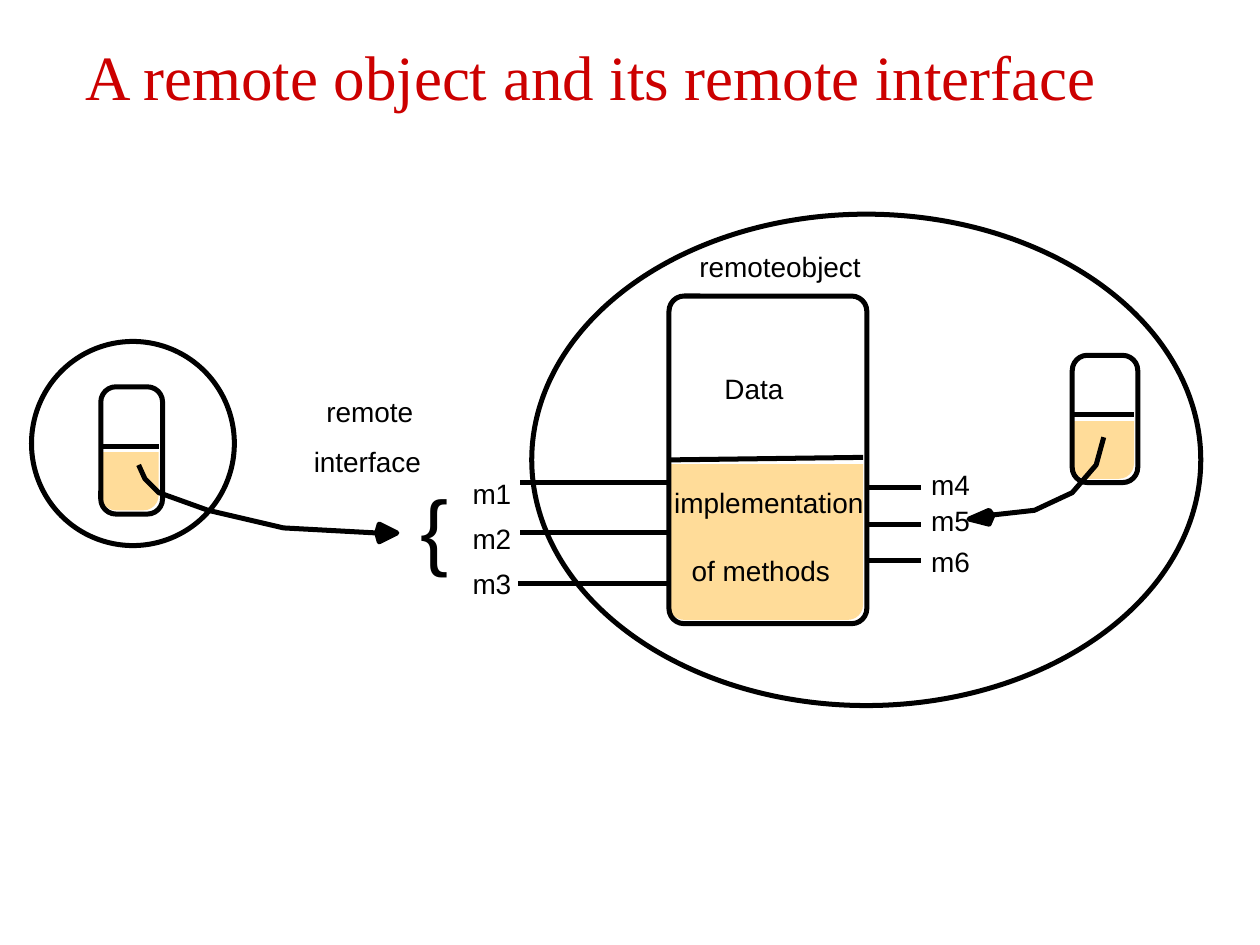
from dataclasses import dataclass

from pptx import Presentation
from pptx.dml.color import RGBColor
from pptx.enum.shapes import MSO_CONNECTOR, MSO_SHAPE
from pptx.enum.text import MSO_ANCHOR, MSO_AUTO_SIZE, PP_ALIGN
from pptx.oxml.ns import qn
from pptx.util import Inches, Pt


@dataclass(frozen=True)
class Theme:
    title_color: RGBColor = RGBColor(0xCC, 0x00, 0x00)
    ink: RGBColor = RGBColor(0x00, 0x00, 0x00)
    paper: RGBColor = RGBColor(0xFF, 0xFF, 0xFF)
    methods: RGBColor = RGBColor(0xFF, 0xDC, 0x99)
    title_font: str = "Times New Roman"
    label_font: str = "Arial"
    title_size: Pt = Pt(36)
    label_size: Pt = Pt(16)
    brace_size: Pt = Pt(48)
    line_width: Pt = Pt(2.86)
    corner_radius: float = 0.12


THEME = Theme()


def set_attributes(target, values):
    for name, value in values.items():
        setattr(target, name, value)


def style_shape(shape, fill=None, line=None):
    shape.shadow.inherit = False
    if fill is None:
        shape.fill.background()
    else:
        shape.fill.solid()
        shape.fill.fore_color.rgb = fill
    if line is None:
        shape.line.fill.background()
    else:
        shape.line.color.rgb = line
        shape.line.width = THEME.line_width


def add_outline(slide, kind, box, fill=None, line=None):
    shape = slide.shapes.add_shape(kind, *map(Inches, box))
    style_shape(shape, fill, line)
    if kind == MSO_SHAPE.ROUNDED_RECTANGLE:
        shape.adjustments[0] = THEME.corner_radius / min(box[2:])
    return shape


def add_line(slide, start, end):
    connector = slide.shapes.add_connector(
        MSO_CONNECTOR.STRAIGHT, *map(Inches, (*start, *end)))
    connector.line.color.rgb = THEME.ink
    connector.line.width = THEME.line_width
    properties = connector._element.spPr
    properties.append(properties.makeelement(qn("a:effectLst"), {}))
    return connector


def add_polyline(slide, points, closed=False):
    start, *others = [tuple(map(Inches, point)) for point in points]
    builder = slide.shapes.build_freeform(*start)
    builder.add_line_segments(others, close=closed)
    style_shape(builder.convert_to_shape(), THEME.ink if closed else None, THEME.ink)


def add_text(slide, box, text, wrap=False, margins=(0, 0), **font_values):
    frame = slide.shapes.add_textbox(*map(Inches, box)).text_frame
    side, edge = map(Inches, margins)
    set_attributes(frame, {
        "word_wrap": wrap, "auto_size": MSO_AUTO_SIZE.SHAPE_TO_FIT_TEXT,
        "vertical_anchor": MSO_ANCHOR.TOP,
        "margin_left": side, "margin_right": side,
        "margin_top": edge, "margin_bottom": edge})
    paragraph = frame.paragraphs[0]
    paragraph.text = text
    paragraph.alignment = PP_ALIGN.LEFT
    font = paragraph.runs[0].font
    set_attributes(font, {"name": THEME.label_font, "size": THEME.label_size} | font_values)
    font.color.rgb = THEME.ink
    return font


def add_label(slide, left, top, width, text):
    add_text(slide, (left, top, width, 0.27), text)


def add_title(slide, box):
    font = add_text(slide, box, "A remote object and its remote interface",
                    wrap=True, margins=(0.1, 0.05),
                    name=THEME.title_font, size=THEME.title_size)
    font.color.rgb = THEME.title_color


def add_object(slide, box, data_height):
    """Draw a rounded object: white data above, coloured methods below."""
    left, top, width, height = box
    rounded = MSO_SHAPE.ROUNDED_RECTANGLE
    add_outline(slide, rounded, (left, top, width - 0.03, height - 0.03), THEME.methods)
    add_outline(slide, MSO_SHAPE.RECTANGLE, (left, top, width - 0.03, data_height + 0.03),
                THEME.paper, THEME.paper)
    return add_outline(slide, rounded, box, line=THEME.ink)


def add_small_object(slide, box):
    left, top, width, _ = box
    data_height = 0.47
    add_object(slide, box, data_height)
    divider = top + data_height
    add_line(slide, (left, divider), (left + width - 0.03, divider))


def add_methods(slide, names, label_left, label_tops, line_starts, line_end, first_line, step):
    for index, (name, top, start) in enumerate(zip(names, label_tops, line_starts)):
        line_top = first_line + index * step
        add_line(slide, (start, line_top), (line_end, line_top))
        add_label(slide, label_left, top, 0.31, name)


def add_remote_object(slide, box):
    left, top, width, height = box
    right, middle = left + width, top + height / 2
    outline = add_object(slide, box, height / 2 - 0.02)
    divider = add_line(slide, (left, middle), (right - 0.03, middle - 0.02))
    divider.begin_connect(outline, 1)
    add_methods(slide, ("m1", "m2", "m3"), left - 1.56, (3.78, 4.14, 4.5),
                (4.13, 4.13, 4.11), left, 3.83, 0.4)
    add_methods(slide, ("m4", "m5", "m6"), right + 0.51, (3.71, 4, 4.32),
                (right, right, right), right + 0.43, 3.87, 0.29)
    for x, y, label_width, text in (
        (0.24, -0.37, 0.69, "remote"),
        (0.93, -0.37, 0.6, "object"),
        (0.44, 0.6, 0.47, "Data"),
        (0.04, 1.5, 1.51, "implementation"),
        (0.18, 2.04, 1.1, "of methods"),
    ):
        add_label(slide, left + x, top + y, label_width, text)


def add_interface(slide, box):
    left, top, _, _ = box
    add_label(slide, left + 0.1, top, 0.69, "remote")
    add_label(slide, left, top + 0.4, 0.85, "interface")
    add_text(slide, (left + 0.85, top + 0.65, 0.22, 0.8), "{", size=THEME.brace_size)


def add_invocation(slide, route, head):
    add_polyline(slide, route)
    add_polyline(slide, head, closed=True)


def add_client_process(slide, box):
    left, top, _, _ = box
    add_small_object(slide, (left + 0.55, top + 0.36, 0.49, 1.01))
    add_outline(slide, MSO_SHAPE.OVAL, box, line=THEME.ink)
    add_invocation(
        slide,
        ((1.1, 3.69), (1.15, 3.8), (1.26, 3.91), (1.65, 4.05), (2.25, 4.19), (2.99, 4.23)),
        ((2.99, 4.23), (3.01, 4.16), (3.15, 4.23), (3.01, 4.3)))


def add_server_process(slide, box):
    left, top, _, _ = box
    add_small_object(slide, (left + 4.29, top + 1.12, 0.52, 1.01))
    add_remote_object(slide, (left + 1.09, top + 0.65, 1.57, 2.6))
    add_outline(slide, MSO_SHAPE.OVAL, box, line=THEME.ink)
    add_invocation(
        slide,
        ((8.76, 3.47), (8.7, 3.69), (8.51, 3.91), (8.21, 4.05), (7.85, 4.09)),
        ((7.88, 4.09), (7.85, 4.16), (7.69, 4.12), (7.85, 4.05)))


def main():
    presentation = Presentation()
    presentation.slide_width, presentation.slide_height = Inches(10), Inches(7.5)
    slide = presentation.slides.add_slide(presentation.slide_layouts[6])
    add_title(slide, (0.58, 0.25, 8.92, 0.7))
    add_server_process(slide, (4.22, 1.7, 5.31, 3.9))
    add_interface(slide, (2.49, 3.13, 1.07, 1.45))
    add_client_process(slide, (0.25, 2.71, 1.61, 1.62))
    presentation.save("out.pptx")


if __name__ == "__main__":
    main()
